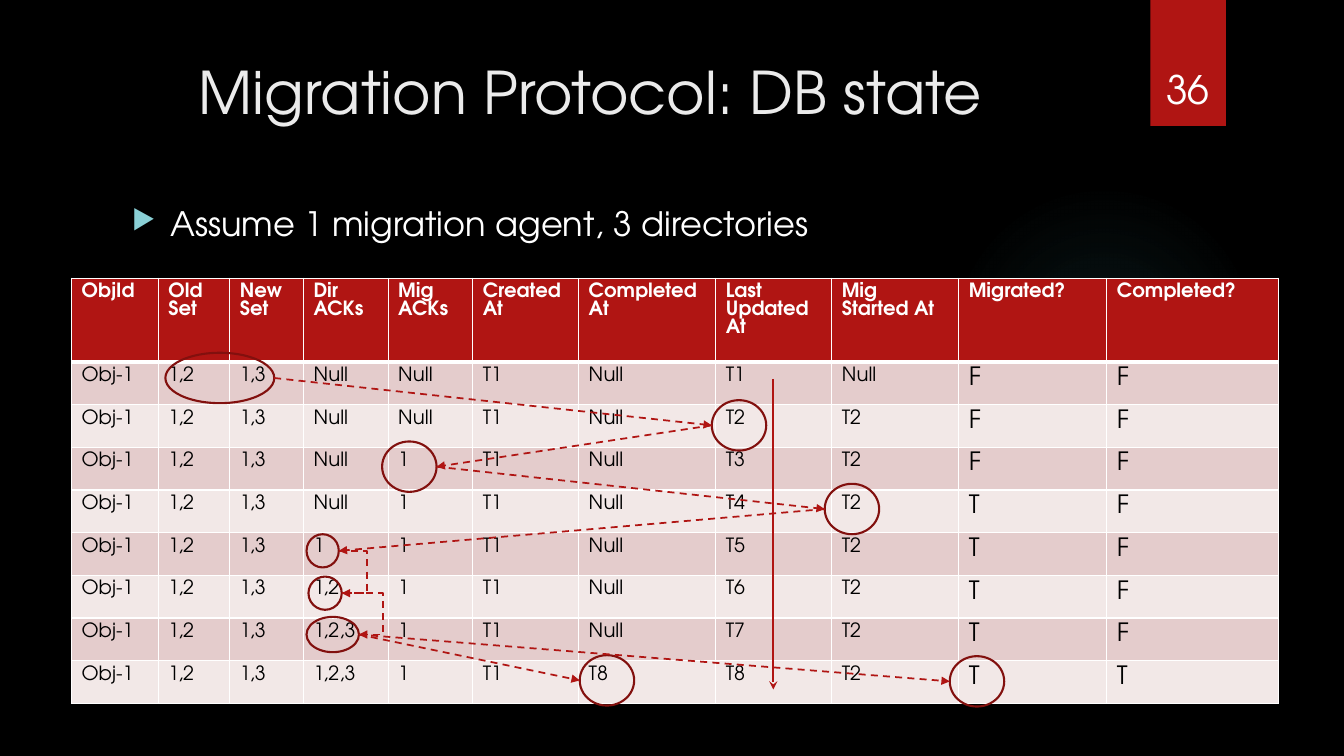
from lxml.etree import SubElement
from pptx import Presentation
from pptx.dml.color import RGBColor
from pptx.enum.dml import MSO_LINE
from pptx.enum.shapes import MSO_CONNECTOR, MSO_SHAPE
from pptx.enum.text import MSO_ANCHOR, PP_ALIGN
from pptx.oxml import parse_xml
from pptx.oxml.ns import nsdecls, qn
from pptx.util import Inches, Pt

FONT = "TeX Gyre Adventor"
RED, DARK, WHITE, BLACK = "B01513", "82100E", "FFFFFF", "000000"
BANDS = ("E4CCCC", "F2E8E7")
LEFT, TOP, HEIGHT, HEAD = 0.71, 2.76, 4.22, 0.83
WIDTHS = (0.86, 0.71, 0.73, 0.84, 0.84, 1.05, 1.36, 1.15, 1.26, 1.47, 1.7)
HEADS = ("ObjId", "Old Set", "New Set", "Dir ACKs", "Mig ACKs", "Created At",
         "Completed At", "Last Updated At", "Mig Started At", "Migrated?",
         "Completed?")
# Dir ACKs, Mig ACKs, Completed At, Last Updated At, Mig Started At, flags
STATES = (
    ("Null", "Null", "Null", "T1", "Null", "F", "F"),
    ("Null", "Null", "Null", "T2", "T2", "F", "F"),
    ("Null", "1", "Null", "T3", "T2", "F", "F"),
    ("Null", "1", "Null", "T4", "T2", "T", "F"),
    ("1", "1", "Null", "T5", "T2", "T", "F"),
    ("1,2", "1", "Null", "T6", "T2", "T", "F"),
    ("1,2,3", "1", "Null", "T7", "T2", "T", "F"),
    ("1,2,3", "1", "T8", "T8", "T2", "T", "T"),
)
RINGS = {
    "sets": (1.64, 3.5, 1.08, 0.5),
    "update": (7.06, 3.97, 0.54, 0.5),
    "agent": (3.79, 4.38, 0.54, 0.5),
    "start": (8.18, 4.8, 0.54, 0.5),
    "dir1": (3.04, 5.3, 0.32, 0.33),
    "dir2": (3.06, 5.72, 0.33, 0.33),
    "dir3": (3.04, 6.12, 0.52, 0.35),
    "moved": (9.42, 6.51, 0.54, 0.5),
    "done": (5.75, 6.5, 0.54, 0.5),
}
# ring, side, ring, side, reach of a bent link
LINKS = (
    ("sets", "right", "update", "left", None),
    ("update", "left", "agent", "right", None),
    ("agent", "right", "start", "left", None),
    ("start", "left", "dir1", "right", None),
    ("dir1", "right", "dir2", "right", 0.28),
    ("dir2", "right", "dir3", "right", 0.41),
    ("dir3", "right", "done", "left", None),
    ("dir3", "right", "moved", "left", None),
)


def color(text):
    return RGBColor.from_string(text)


def inch(*sizes):
    return [Inches(size) for size in sizes]


def style(para, size, hue, bold=False):
    font = para.font
    font.name, font.size, font.bold = FONT, Pt(size), bold
    font.color.rgb = color(hue)


def label(slide, box, text, size, hue, align=PP_ALIGN.CENTER,
          anchor=MSO_ANCHOR.TOP, bullet=False):
    frame = slide.shapes.add_textbox(*inch(*box)).text_frame
    frame.word_wrap = True
    frame.vertical_anchor = anchor
    para = frame.paragraphs[0]
    para.text, para.alignment = text, align
    if bullet:
        props = para._p.get_or_add_pPr()
        props.set("marL", str(Inches(0.38)))
        props.set("indent", str(-Inches(0.38)))
        hold = SubElement(props, qn("a:buClr"))
        SubElement(hold, qn("a:srgbClr"), val="8AD0D6")
        SubElement(props, qn("a:buSzPct"), val="80000")
        SubElement(props, qn("a:buFont"), typeface="OpenSymbol")
        SubElement(props, qn("a:buChar"), char="▶")
    style(para, size, hue)


def shape(slide, kind, box, fill=None, line=None):
    item = slide.shapes.add_shape(kind, *inch(*box))
    item.shadow.inherit = False
    if fill:
        item.fill.solid()
        item.fill.fore_color.rgb = color(fill)
    else:
        item.fill.background()
    if line:
        item.line.color.rgb = color(line)
        item.line.width = Pt(1.5)
    else:
        item.line.fill.background()
    return item


def glow(slide):
    item = shape(slide, MSO_SHAPE.OVAL, (9.41, 1.83, 3.08, 3.08))
    stops = "".join(
        f'<a:gs pos="{pos}000"><a:srgbClr val="50B9C1">'
        f'<a:alpha val="{alpha}000"/></a:srgbClr></a:gs>'
        for pos, alpha in ((0, 7), (36, 6), (69, 0)))
    fill = parse_xml(
        f'<a:gradFill {nsdecls("a")}><a:gsLst>{stops}</a:gsLst>'
        '<a:path path="circle"><a:fillToRect l="50000" t="50000" '
        'r="50000" b="50000"/></a:path></a:gradFill>')
    props = item._element.spPr
    props.replace(props.find(qn("a:noFill")), fill)


def border(cell, **widths):
    """Draw white cell edges; widths are points keyed L, R, T, B."""
    props = cell._tc.get_or_add_tcPr()
    for spot, (side, width) in enumerate(widths.items()):
        props.insert(spot, parse_xml(
            f'<a:ln{side} {nsdecls("a")} w="{Pt(width)}"><a:solidFill>'
            f'<a:srgbClr val="{WHITE}"/></a:solidFill></a:ln{side}>'))


def grid(slide):
    rows = [HEADS] + [
        ("Obj-1", "1,2", "1,3", *state[:2], "T1", *state[2:])
        for state in STATES]
    frame = slide.shapes.add_table(
        len(rows), len(HEADS), *inch(LEFT, TOP, sum(WIDTHS), HEIGHT))
    table = frame.table
    for col, width in zip(table.columns, WIDTHS):
        col.width = Inches(width)
    for r, row in enumerate(rows):
        head = r == 0
        step = HEAD if head else (HEIGHT - HEAD) / len(STATES)
        table.rows[r].height = Inches(step)
        for c, text in enumerate(row):
            cell = table.cell(r, c)
            cell.fill.solid()
            cell.fill.fore_color.rgb = color(RED if head else BANDS[(r - 1) % 2])
            border(cell, L=1, R=1, T=3 if r == 1 else 1, B=3 if head else 1)
            para = cell.text_frame.paragraphs[0]
            para.text = text
            size = 18 if c > 8 and not head else 14
            style(para, size, WHITE if head else BLACK, head)


def side(name, edge):
    x, y, w, h = RINGS[name]
    return (x + w if edge == "right" else x), y + h / 2


def arrow(slide, start, end, width, tip, dash=True, reach=None):
    kind = MSO_CONNECTOR.ELBOW if reach else MSO_CONNECTOR.STRAIGHT
    link = slide.shapes.add_connector(kind, *inch(*start, *end))
    link.line.color.rgb = color(RED)
    link.line.width = Pt(width)
    if dash:
        link.line.dash_style = MSO_LINE.DASH
    props = link._element.spPr
    SubElement(link.line._get_or_add_ln(), qn("a:tailEnd"), type=tip)
    SubElement(props, qn("a:effectLst"))
    if reach:
        bend = round(reach / (end[0] - start[0]) * 100000)
        geom = props.find(qn("a:prstGeom"))
        hold = geom.find(qn("a:avLst"))
        if hold is None:
            hold = SubElement(geom, qn("a:avLst"))
        SubElement(hold, qn("a:gd"), name="adj1", fmla=f"val {bend}")


def main():
    deck = Presentation()
    deck.slide_width, deck.slide_height = inch(13.33, 7.5)
    slide = deck.slides.add_slide(deck.slide_layouts[6])
    slide.background.fill.solid()
    slide.background.fill.fore_color.rgb = color(BLACK)
    glow(slide)
    shape(slide, MSO_SHAPE.RECTANGLE, (11.41, 0, 0.75, 1.25), RED)
    label(slide, (1.21, 1.96, 9.78, 0.6),
          "Assume 1 migration agent, 3 directories", 24, WHITE,
          PP_ALIGN.LEFT, bullet=True)
    grid(slide)
    for box in RINGS.values():
        shape(slide, MSO_SHAPE.OVAL, box, line=DARK)
    arrow(slide, (7.67, 3.76), (7.67, 6.84), 1.5, "stealth", dash=False)
    for tail, out, head, into, reach in LINKS:
        arrow(slide, side(tail, out), side(head, into), 1.25, "triangle",
              reach=reach)
    label(slide, (11.32, 0.32, 0.92, 0.84), "36", 28, WHITE,
          anchor=MSO_ANCHOR.BOTTOM)
    label(slide, (0.71, 0.5, 10.29, 1.53), "Migration Protocol: DB state",
          42, "EBEBEB")
    deck.save("out.pptx")


if __name__ == "__main__":
    main()
